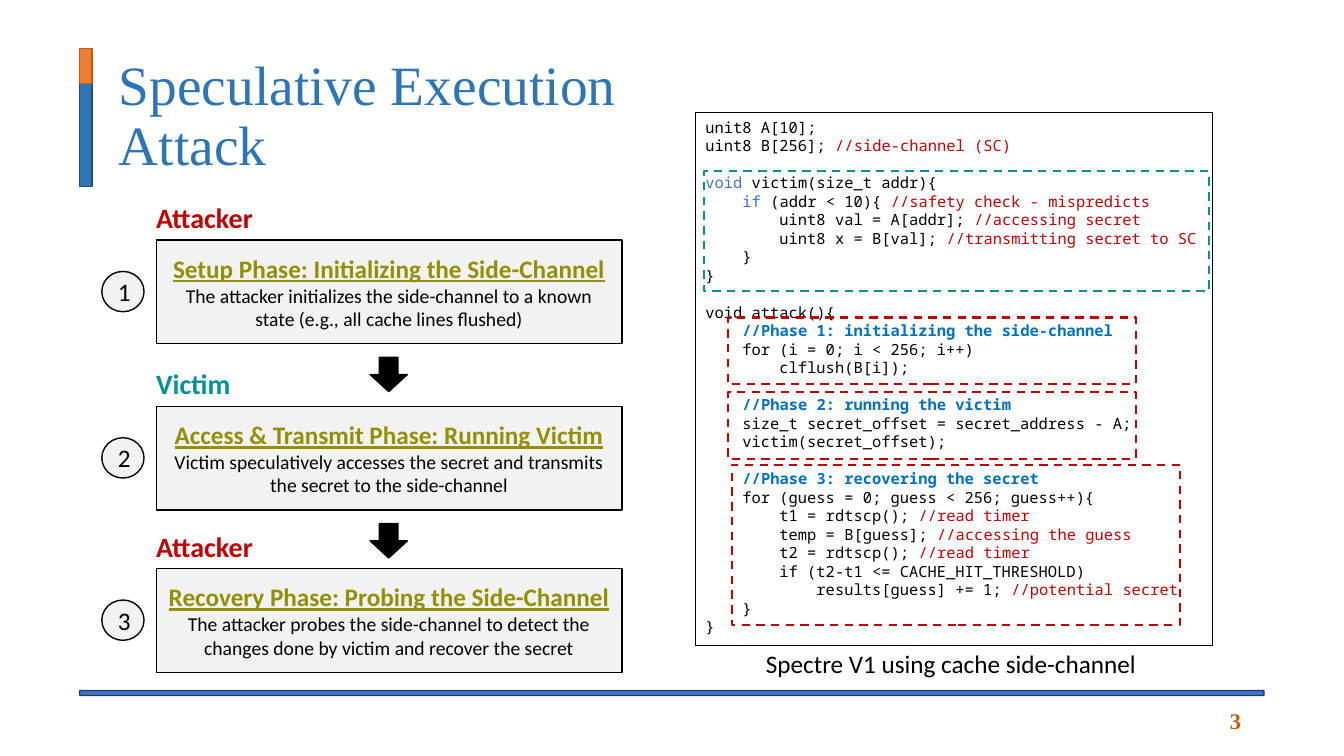
from dataclasses import dataclass
from typing import NamedTuple, Optional

from pptx import Presentation
from pptx.dml.color import RGBColor
from pptx.enum.dml import MSO_LINE
from pptx.enum.shapes import MSO_SHAPE
from pptx.enum.text import MSO_ANCHOR, MSO_AUTO_SIZE, PP_ALIGN
from pptx.util import Pt

RECTANGLE, ROUNDED = MSO_SHAPE.RECTANGLE, MSO_SHAPE.ROUNDED_RECTANGLE
OVAL, DOWN_ARROW = MSO_SHAPE.OVAL, MSO_SHAPE.DOWN_ARROW
DASH = MSO_LINE.DASH
TOP, MIDDLE = MSO_ANCHOR.TOP, MSO_ANCHOR.MIDDLE
LEFT, CENTER, RIGHT = PP_ALIGN.LEFT, PP_ALIGN.CENTER, PP_ALIGN.RIGHT
FIT_SHAPE, NO_FIT = MSO_AUTO_SIZE.SHAPE_TO_FIT_TEXT, MSO_AUTO_SIZE.NONE


@dataclass(frozen=True)
class Theme:
    serif: str = "Times New Roman"
    sans: str = "Calibri"
    mono: str = "Noto Sans Mono"
    black: str = "000000"
    panel: str = "F2F2F2"
    title: str = "2E75B6"
    title_edge: str = "1F4E79"
    accent: str = "ED7D31"
    accent_edge: str = "C55A11"
    rule: str = "4472C4"
    rule_edge: str = "203864"
    attacker: str = "C00000"
    victim: str = "009193"
    heading: str = "929000"
    keyword: str = "4472C4"
    phase_comment: str = "0070C0"
    title_size: float = 39.6
    label_size: float = 20
    heading_size: float = 18
    number_size: float = 16
    body_size: float = 14
    code_size: float = 11
    code_gap: float = 13.23


THEME = Theme()


class Box(NamedTuple):
    left: float
    top: float
    width: float
    height: float


class Style(NamedTuple):
    font: str
    size: float
    color: str
    bold: bool = False
    underline: bool = False


class Phase(NamedTuple):
    top: float
    actor: str
    color: str
    label_width: float
    heading: str
    body: str


class CodeLine(NamedTuple):
    text: str
    keyword: str = ""
    gap_before: bool = False


class Frame(NamedTuple):
    box: Box
    color: str


PHASES = [
    Phase(171.4, "Attacker", THEME.attacker, 85, "Setup Phase: Initializing the Side-Channel",
          "The attacker initializes the side-channel to a known state (e.g., all cache lines flushed)"),
    Phase(290.2, "Victim", THEME.victim, 68.4, "Access & Transmit Phase: Running Victim",
          "Victim speculatively accesses the secret and transmits the secret to the side-channel"),
    Phase(406.1, "Attacker", THEME.attacker, 85, "Recovery Phase: Probing the Side-Channel",
          "The attacker probes the side-channel to detect the changes done by victim "
          "and recover the secret"),
]

CODE = [
    CodeLine("unit8 A[10];"),
    CodeLine("uint8 B[256]; //side-channel (SC)"),
    CodeLine("void victim(size_t addr){", "void", True),
    CodeLine("    if (addr < 10){ //safety check - mispredicts", "if"),
    CodeLine("        uint8 val = A[addr]; //accessing secret"),
    CodeLine("        uint8 x = B[val]; //transmitting secret to SC"),
    CodeLine("    }"),
    CodeLine("}"),
    CodeLine("void attack(){", gap_before=True),
    CodeLine("    //Phase 1: initializing the side-channel"),
    CodeLine("    for (i = 0; i < 256; i++)"),
    CodeLine("        clflush(B[i]);"),
    CodeLine("    //Phase 2: running the victim", gap_before=True),
    CodeLine("    size_t secret_offset = secret_address - A;"),
    CodeLine("    victim(secret_offset);"),
    CodeLine("    //Phase 3: recovering the secret", gap_before=True),
    CodeLine("    for (guess = 0; guess < 256; guess++){"),
    CodeLine("        t1 = rdtscp(); //read timer"),
    CodeLine("        temp = B[guess]; //accessing the guess"),
    CodeLine("        t2 = rdtscp(); //read timer"),
    CodeLine("        if (t2-t1 <= CACHE_HIT_THRESHOLD)"),
    CodeLine("            results[guess] += 1; //potential secret"),
    CodeLine("    }"),
    CodeLine("}"),
]

FRAMES = [
    Frame(Box(519.8, 226.8, 291.6, 47.5), THEME.attacker),
    Frame(Box(519.8, 280.1, 291.6, 47.5), THEME.attacker),
    Frame(Box(522.7, 331.9, 320.4, 114.5), THEME.attacker),
    Frame(Box(502.6, 122.4, 360.7, 85.7), THEME.victim),
]


def add_box(slide, kind, box: Box, fill: Optional[str], line: str, weight: float = 1, dash=None):
    shape = slide.shapes.add_shape(kind, *map(Pt, box))
    shape.shadow.inherit = False
    if fill:
        shape.fill.solid()
        shape.fill.fore_color.rgb = RGBColor.from_string(fill)
    else:
        shape.fill.background()
    shape.line.color.rgb = RGBColor.from_string(line)
    shape.line.width = Pt(weight)
    if dash:
        shape.line.dash_style = dash
    return shape


def write(shape, lines: list, align=LEFT, anchor=TOP, fit: bool = False) -> list:
    """Each line is a list of (text, Style) runs; returns the paragraphs."""
    frame = shape.text_frame
    frame.word_wrap = not fit
    frame.auto_size = FIT_SHAPE if fit else NO_FIT
    frame.vertical_anchor = anchor
    for index, runs in enumerate(lines):
        paragraph = frame.add_paragraph() if index else frame.paragraphs[0]
        paragraph.alignment = align
        for text, style in runs:
            run = paragraph.add_run()
            run.text = text
            run.font.name, run.font.size = style.font, Pt(style.size)
            run.font.bold, run.font.underline = style.bold, style.underline
            run.font.color.rgb = RGBColor.from_string(style.color)
    return list(frame.paragraphs)


def add_text(slide, box: Box, text: str, style: Style, **layout) -> list:
    return write(slide.shapes.add_textbox(*map(Pt, box)), [[(text, style)]], **layout)


def code_runs(line: CodeLine) -> list:
    def style(color: str, bold: bool = False) -> Style:
        return Style(THEME.mono, THEME.code_size, color, bold)

    code, slashes, remark = line.text.partition("//")
    is_heading = not code.strip()
    indent, keyword, rest = code.partition(line.keyword) if line.keyword else (code, "", "")
    runs = [(indent, style(THEME.black)), (keyword, style(THEME.keyword)),
            (rest, style(THEME.black)),
            (slashes + remark, style(THEME.phase_comment if is_heading else THEME.attacker, is_heading))]
    return [run for run in runs if run[0]]


def add_phase(slide, number: int, phase: Phase) -> None:
    box = Box(111.6, phase.top, 332.6, 74.2)
    heading = Style(THEME.sans, THEME.heading_size, THEME.heading, True, True)
    body = Style(THEME.sans, THEME.body_size, THEME.black)
    panel = add_box(slide, RECTANGLE, box, THEME.panel, THEME.black)
    write(panel, [[(phase.heading, heading)], [(phase.body, body)]], CENTER, MIDDLE)
    add_text(slide, Box(104.4, box.top - 31.7, phase.label_width, 31.7), phase.actor,
             Style(THEME.sans, THEME.label_size, phase.color, True), fit=True)
    badge = add_box(slide, OVAL, Box(72.7, box.top + 22.5, 30.2, 28.8), THEME.panel, THEME.black)
    write(badge, [[(str(number), Style(THEME.sans, THEME.heading_size, THEME.black))]], CENTER, MIDDLE)
    if number < len(PHASES):
        add_box(slide, DOWN_ARROW, Box(264.4, box.top + box.height + 9.7, 26.6, 24.5),
                THEME.black, THEME.black)


def main() -> None:
    presentation = Presentation()
    presentation.slide_width, presentation.slide_height = Pt(960), Pt(540)
    slide = presentation.slides.add_slide(presentation.slide_layouts[6])

    # Bottom rule, title bars, title and page number
    add_box(slide, ROUNDED, Box(56.9, 493.2, 846, 3.6), THEME.rule, THEME.rule_edge)
    add_box(slide, RECTANGLE, Box(56.9, 59.8, 8.8, 73.4), THEME.title, THEME.title_edge)
    add_box(slide, RECTANGLE, Box(56.9, 34.6, 8.8, 25.2), THEME.accent, THEME.accent_edge)
    title = add_text(slide, Box(77.8, 34.6, 419, 98.6), "Speculative Execution Attack",
                     Style(THEME.serif, THEME.title_size, THEME.title), anchor=MIDDLE)
    title[0].line_spacing = 0.9
    add_text(slide, Box(758.2, 500.4, 135.4, 28.8), "3",
             Style(THEME.serif, THEME.number_size, THEME.accent_edge, True), align=RIGHT, anchor=MIDDLE)

    # Code listing and caption
    listing = add_box(slide, RECTANGLE, Box(496.8, 80.6, 369.4, 380.2), None, THEME.black, 0.75)
    paragraphs = write(listing, [code_runs(line) for line in CODE], fit=True)
    for paragraph, line in zip(paragraphs, CODE):
        if line.gap_before:
            paragraph.space_before = Pt(THEME.code_gap)
    add_text(slide, Box(540, 459.4, 282.2, 28.8), "Spectre V1 using cache side-channel",
             Style(THEME.sans, THEME.heading_size, THEME.black), fit=True)

    # Attack phases, then dashed frames over the code
    for number, phase in enumerate(PHASES, 1):
        add_phase(slide, number, phase)
    for frame in FRAMES:
        add_box(slide, RECTANGLE, frame.box, None, frame.color, 1.5, DASH)

    presentation.save("out.pptx")


if __name__ == "__main__":
    main()
